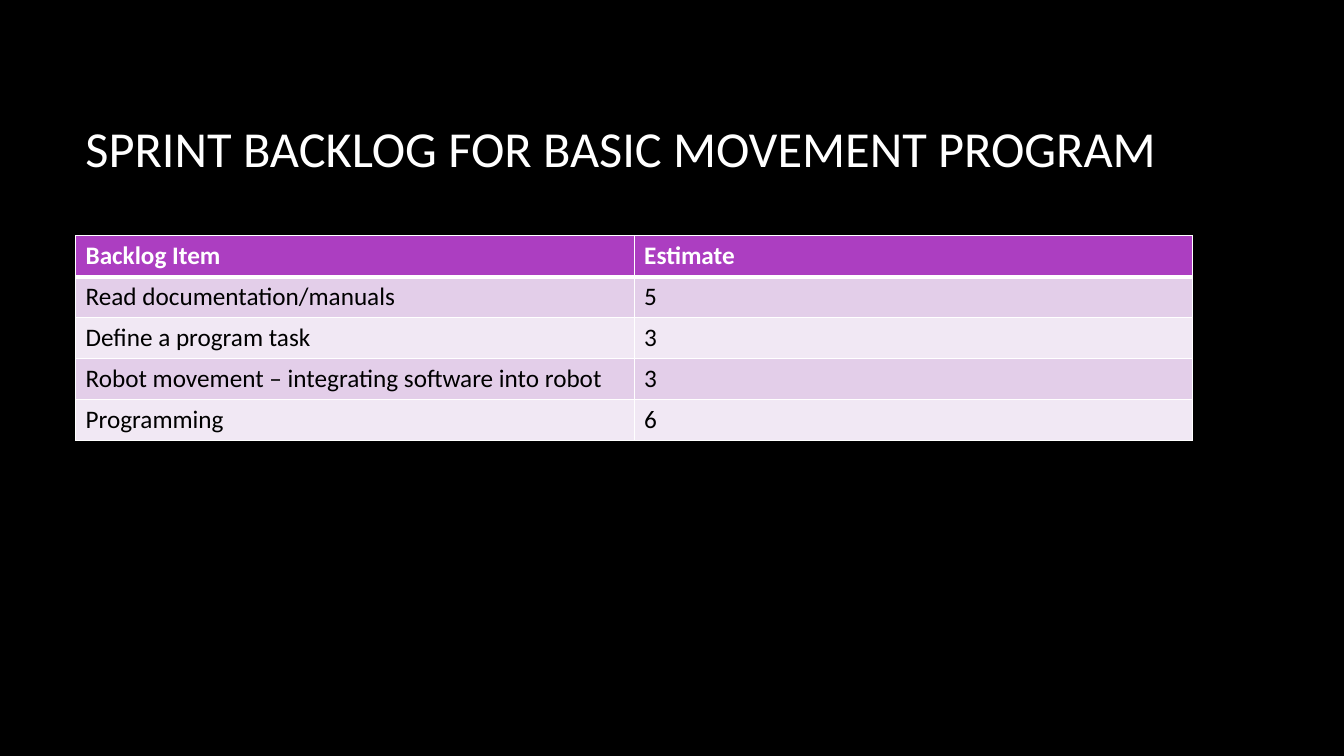
from dataclasses import dataclass

from lxml import etree
from pptx import Presentation
from pptx import util as u
from pptx.dml import color
from pptx.enum import text
from pptx.oxml import ns


@dataclass(frozen=True)
class Theme:
    font: str = "Calibri"
    title_size: float = 36
    body_size: float = 18
    background: str = "000000"
    light: str = "FFFFFF"
    dark: str = "000000"
    header: str = "AC3EC1"
    bands: tuple[str, str] = ("E3CEE9", "F1E8F4")
    thin_rule: float = 1
    header_rule: float = 3


@dataclass(frozen=True)
class BacklogItem:
    name: str
    estimate: str


THEME = Theme()
HEADINGS = BacklogItem("Backlog Item", "Estimate")
BACKLOG = [
    BacklogItem("Read documentation/manuals", "5"),
    BacklogItem("Define a program task", "3"),
    BacklogItem("Robot movement – integrating software into robot", "3"),
    BacklogItem("Programming", "6"),
]
LEFT = 54
COLUMN_WIDTH = 399
ROW_HEIGHT = 29.2


def rgb(value: str) -> color.RGBColor:
    return color.RGBColor.from_string(value)


def write(frame, content: str, *, size: float, ink: str, bold: bool = False) -> None:
    run = frame.paragraphs[0].add_run()
    run.text = content
    run.font.name = THEME.font
    run.font.size = u.Pt(size)
    run.font.bold = bold
    run.font.color.rgb = rgb(ink)


def add_border(cell, side: str, width: float) -> None:
    properties = cell._tc.get_or_add_tcPr()
    line = etree.SubElement(properties, ns.qn(f"a:ln{side}"), w=str(u.Pt(width)))
    fill = etree.SubElement(line, ns.qn("a:solidFill"))
    etree.SubElement(fill, ns.qn("a:srgbClr"), val=THEME.light)


def add_title(slide, content: str) -> None:
    title = slide.shapes.add_textbox(u.Pt(LEFT), u.Pt(48.25), u.Pt(863.25), u.Pt(114.5))
    title.text_frame.word_wrap = True
    title.text_frame.vertical_anchor = text.MSO_ANCHOR.MIDDLE
    write(title.text_frame, content, size=THEME.title_size, ink=THEME.light)


def fill_row(table, index: int, item: BacklogItem) -> None:
    is_header = index == 0
    rules = {
        "L": THEME.thin_rule,
        "R": THEME.thin_rule,
        "T": THEME.header_rule if index == 1 else THEME.thin_rule,
        "B": THEME.header_rule if is_header else THEME.thin_rule,
    }
    table.rows[index].height = u.Pt(ROW_HEIGHT)
    for cell, content in zip(table.rows[index].cells, (item.name, item.estimate)):
        for side, width in rules.items():
            add_border(cell, side, width)
        cell.fill.solid()
        cell.fill.fore_color.rgb = rgb(THEME.header if is_header else THEME.bands[(index - 1) % 2])
        write(cell.text_frame, content, size=THEME.body_size,
              ink=THEME.light if is_header else THEME.dark, bold=is_header)


def add_backlog(slide, items: list[BacklogItem]) -> None:
    rows = [HEADINGS, *items]
    table = slide.shapes.add_table(
        len(rows), 2, u.Pt(LEFT), u.Pt(168.5),
        u.Pt(2 * COLUMN_WIDTH), u.Pt(len(rows) * ROW_HEIGHT)).table
    for column in table.columns:
        column.width = u.Pt(COLUMN_WIDTH)
    for index, item in enumerate(rows):
        fill_row(table, index, item)


def main() -> None:
    deck = Presentation()
    deck.slide_width, deck.slide_height = u.Pt(960), u.Pt(540)
    slide = deck.slides.add_slide(deck.slide_layouts[6])

    # Black background
    slide.background.fill.solid()
    slide.background.fill.fore_color.rgb = rgb(THEME.background)

    # Title and sprint backlog
    add_title(slide, "SPRINT BACKLOG FOR BASIC MOVEMENT PROGRAM")
    add_backlog(slide, BACKLOG)
    deck.save("out.pptx")


if __name__ == "__main__":
    main()
